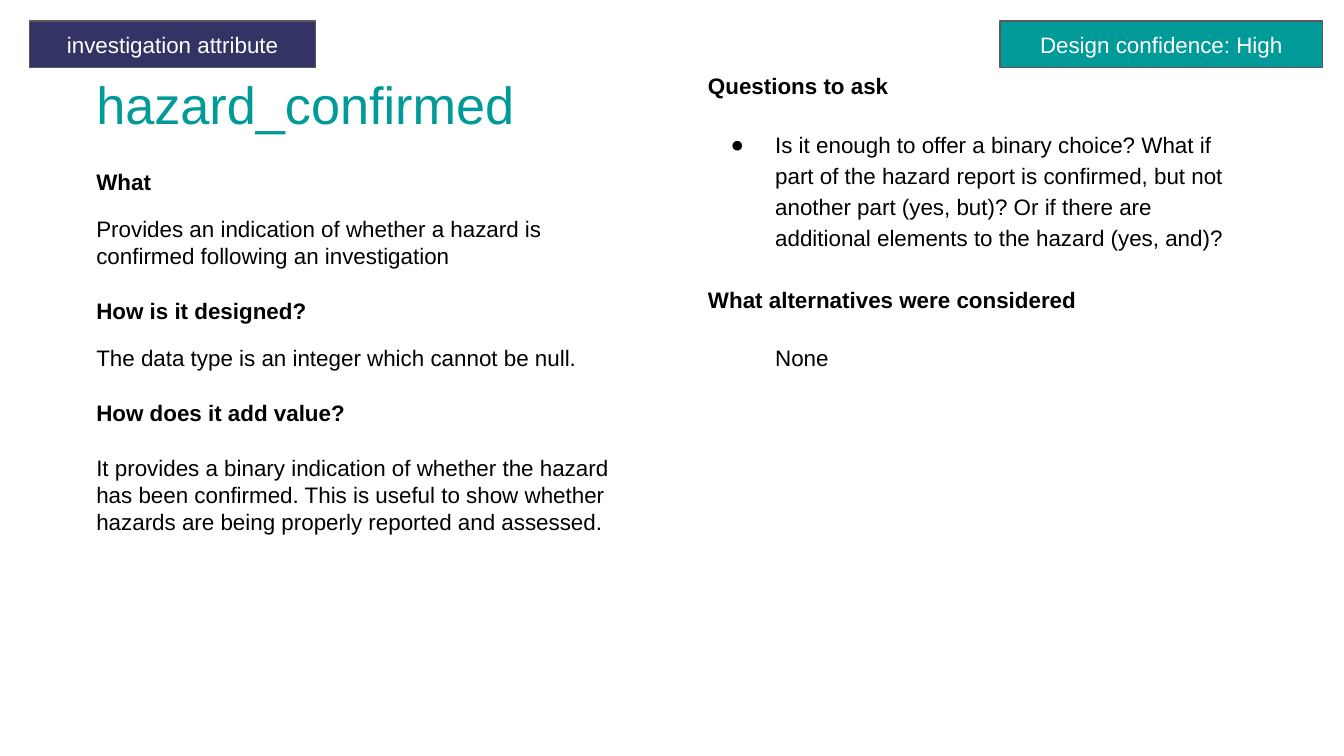
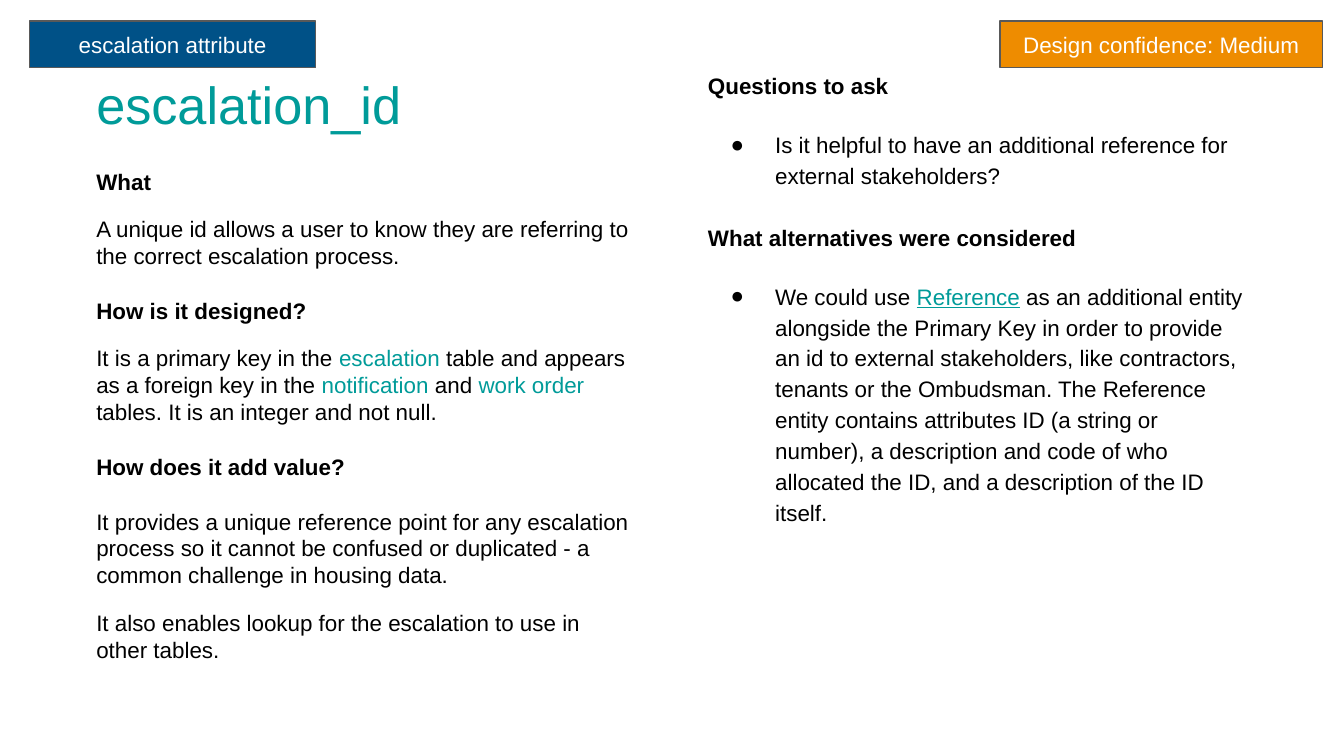
import pptx
import pptx.dml.color
import pptx.enum.shapes
import pptx.enum.text
import pptx.util
from dataclasses import dataclass
from lxml import etree
from pptx.oxml.ns import qn
from pptx.util import Cm, Pt


@dataclass(frozen=True)
class Theme:
    font: str = "Arial"
    title_size: int = 28
    text_size: int = 12
    ink: str = "000000"
    accent: str = "009B99"
    white: str = "FFFFFF"
    border: str = "595959"
    investigation: str = "333366"
    escalation: str = "005187"
    high: str = "009B99"
    medium: str = "EE8C00"


THEME = Theme()

# A text is a list of runs; a run is (words, style) with style "", "accent" or "link".
SLIDES = [
    {
        "title": "hazard_confirmed",
        "entity": ("investigation attribute", THEME.investigation),
        "confidence": ("Design confidence: High", THEME.high),
        "what": [("Provides an indication of whether a hazard is confirmed "
                  "following an investigation", "")],
        "design": [("The data type is an integer which cannot be null.", "")],
        "value": [
            [("It provides a binary indication of whether the hazard has been confirmed. "
              "This is useful to show whether hazards are being properly reported "
              "and assessed.", "")],
        ],
        "question": [("Is it enough to offer a binary choice? What if part of the hazard "
                      "report is confirmed, but not another part (yes, but)? Or if there "
                      "are additional elements to the hazard (yes, and)?", "")],
        "alternative": [("None", "")],
        "alternative_bullet": False,
    },
    {
        "title": "escalation_id",
        "entity": ("escalation attribute", THEME.escalation),
        "confidence": ("Design confidence: Medium", THEME.medium),
        "what": [("A unique id allows a user to know they are referring to the correct "
                  "escalation process.", "")],
        "design": [
            ("It is a primary key in the ", ""), ("escalation", "accent"),
            (" table and appears as a foreign key in the ", ""),
            ("notification", "accent"), (" and ", ""), ("work order", "accent"),
            (" tables. It is an integer and not null.", ""),
        ],
        "value": [
            [("It provides a unique reference point for any escalation process so it "
              "cannot be confused or duplicated - a common challenge in housing data.", "")],
            [("It also enables lookup for the escalation to use in other tables.", "")],
        ],
        "question": [("Is it helpful to have an additional reference for external "
                      "stakeholders?", "")],
        "alternative": [
            ("We could use ", ""), ("Reference", "link"),
            (" as an additional entity alongside the Primary Key in order to provide an "
             "id to external stakeholders, like contractors, tenants or the Ombudsman. "
             "The Reference entity contains attributes ID (a string or number), a "
             "description and code of who allocated the ID, and a description of the "
             "ID itself.", ""),
        ],
        "alternative_bullet": True,
    },
]

# left, top, width, height in centimetres
TITLE_BOX = (1.57, 1.12, 11.25, 1.6)
LEFT_BOX = (1.57, 2.92, 10.64, 8.74)
RIGHT_BOX = (13.13, 1.12, 10.64, 8.46)
ENTITY_BOX = (0.56, 0.4, 5.41, 0.88)
CONFIDENCE_BOX = (18.9, 0.4, 6.1, 0.88)
INSET = 0.25
TEXT_INDENT, BULLET_HANG = 1.27, 0.84

TIGHT, WIDE, BLANK_LINE = 11, 15, 16.5   # space before, in points
LOOSE = 1.15                             # line spacing


def rgb(value):
    return pptx.dml.color.RGBColor.from_string(value)


def add_run(p, text, color, size=THEME.text_size, bold=False, underline=False):
    r = p.add_run()
    r.text = text
    r.font.name = THEME.font
    r.font.size = Pt(size)
    r.font.bold = bold
    r.font.underline = underline
    r.font.color.rgb = rgb(color)


def setup_frame(tf, anchor):
    tf.word_wrap = True
    tf.auto_size = pptx.enum.text.MSO_AUTO_SIZE.NONE
    tf.vertical_anchor = anchor
    tf.margin_left = tf.margin_right = tf.margin_top = tf.margin_bottom = Cm(INSET)


def place(sp, box):
    sp.left, sp.top, sp.width, sp.height = map(Cm, box)
    setup_frame(sp.text_frame, pptx.enum.text.MSO_ANCHOR.TOP)


def set_bullet(p, bullet, indented):
    """Set the paragraph's indents and either a round bullet or none."""
    ppr = p._p.get_or_add_pPr()
    ppr.set("marL", str(Cm(TEXT_INDENT) if indented else 0))
    ppr.set("indent", str(-Cm(BULLET_HANG) if bullet else 0))
    if bullet:
        color = etree.SubElement(ppr, qn("a:buClr"))
        etree.SubElement(color, qn("a:srgbClr"), val=THEME.ink)
        etree.SubElement(ppr, qn("a:buFont"), typeface=THEME.font)
        etree.SubElement(ppr, qn("a:buChar"), char="●")
    else:
        etree.SubElement(ppr, qn("a:buNone"))


def add_paragraph(tf, runs, before, bold=False, spacing=1.0, bullet=False, indented=False):
    first = not tf.paragraphs[0].runs
    p = tf.paragraphs[0] if first else tf.add_paragraph()
    set_bullet(p, bullet, indented)
    p.alignment = pptx.enum.text.PP_ALIGN.LEFT
    p.line_spacing = spacing
    p.space_before = Pt(0 if first else before)
    for text, style in runs:
        add_run(p, text, THEME.accent if style else THEME.ink,
                bold=bold, underline=style == "link")


def add_heading(tf, text, before=WIDE, spacing=1.0):
    add_paragraph(tf, [(text, "")], before, bold=True, spacing=spacing)


def add_tag(s, box, text, fill):
    sp = s.shapes.add_shape(pptx.enum.shapes.MSO_SHAPE.RECTANGLE, *map(Cm, box))
    sp.shadow.inherit = False
    sp.fill.solid()
    sp.fill.fore_color.rgb = rgb(fill)
    sp.line.color.rgb = rgb(THEME.border)
    sp.line.width = Pt(0.75)
    setup_frame(sp.text_frame, pptx.enum.text.MSO_ANCHOR.MIDDLE)
    p = sp.text_frame.paragraphs[0]
    p.alignment = pptx.enum.text.PP_ALIGN.CENTER
    add_run(p, text, THEME.white)


def add_attribute_slide(prs, content):
    s = prs.slides.add_slide(prs.slide_layouts.get_by_name("Two Content"))
    title, left, right = s.placeholders
    for sp, box in ((title, TITLE_BOX), (left, LEFT_BOX), (right, RIGHT_BOX)):
        place(sp, box)

    p = title.text_frame.paragraphs[0]
    p.alignment = pptx.enum.text.PP_ALIGN.LEFT
    add_run(p, content["title"], THEME.accent, THEME.title_size)

    tf = left.text_frame
    add_heading(tf, "What")
    add_paragraph(tf, content["what"], TIGHT)
    add_heading(tf, "How is it designed?")
    add_paragraph(tf, content["design"], TIGHT)
    add_heading(tf, "How does it add value?")
    for i, runs in enumerate(content["value"]):
        add_paragraph(tf, runs, TIGHT if i else WIDE)

    tf = right.text_frame
    add_heading(tf, "Questions to ask")
    add_paragraph(tf, content["question"], WIDE, spacing=LOOSE, bullet=True, indented=True)
    add_heading(tf, "What alternatives were considered", BLANK_LINE, LOOSE)
    add_paragraph(tf, content["alternative"], WIDE, spacing=LOOSE,
                  bullet=content["alternative_bullet"], indented=True)

    add_tag(s, CONFIDENCE_BOX, *content["confidence"])
    add_tag(s, ENTITY_BOX, *content["entity"])


def main():
    prs = pptx.Presentation()
    prs.slide_width, prs.slide_height = Cm(25.4), Cm(14.29)
    for content in SLIDES:
        add_attribute_slide(prs, content)
    prs.save("out.pptx")


if __name__ == "__main__":
    main()
